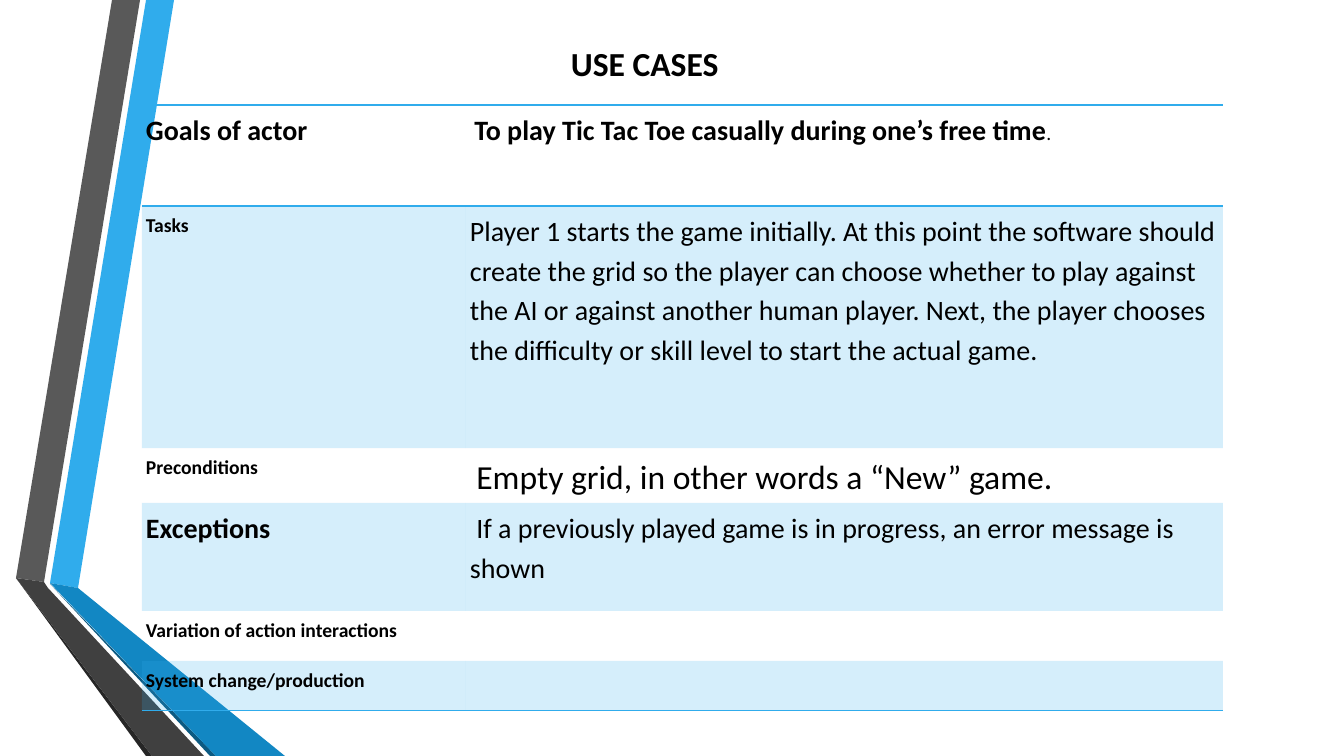
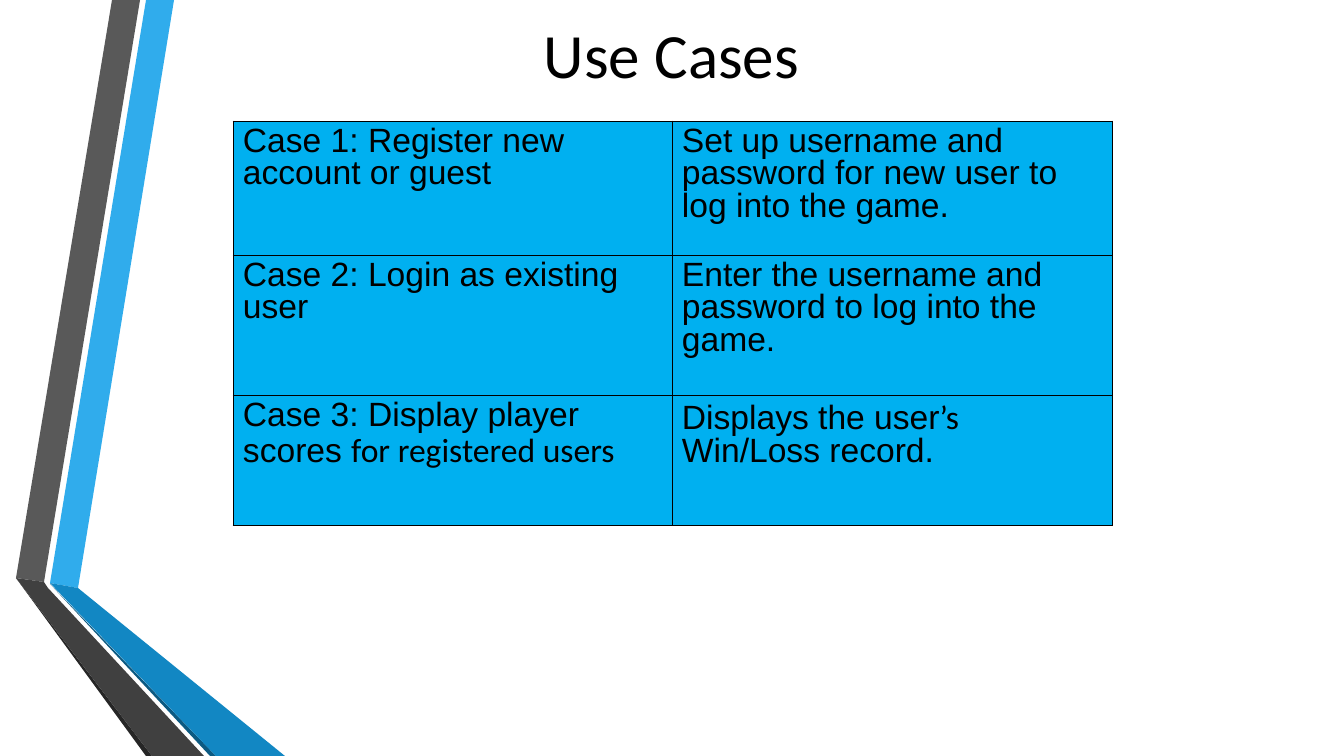
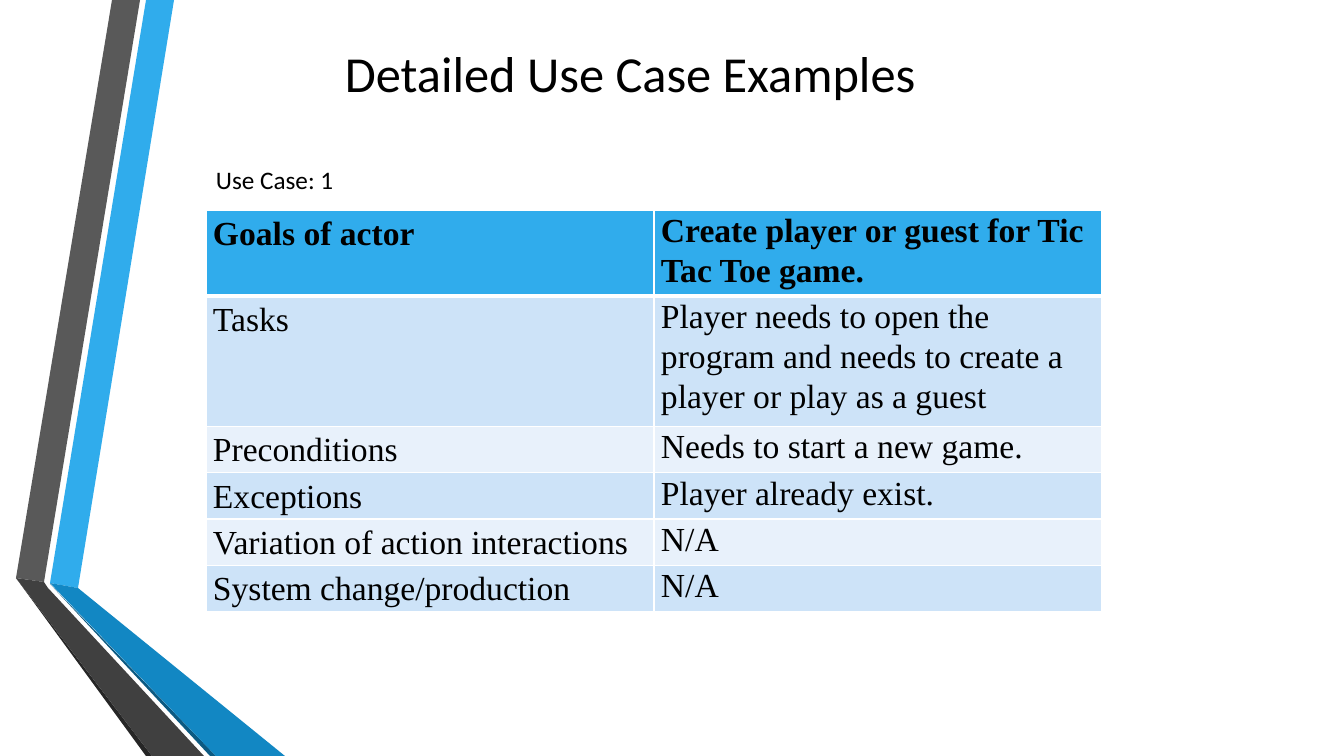
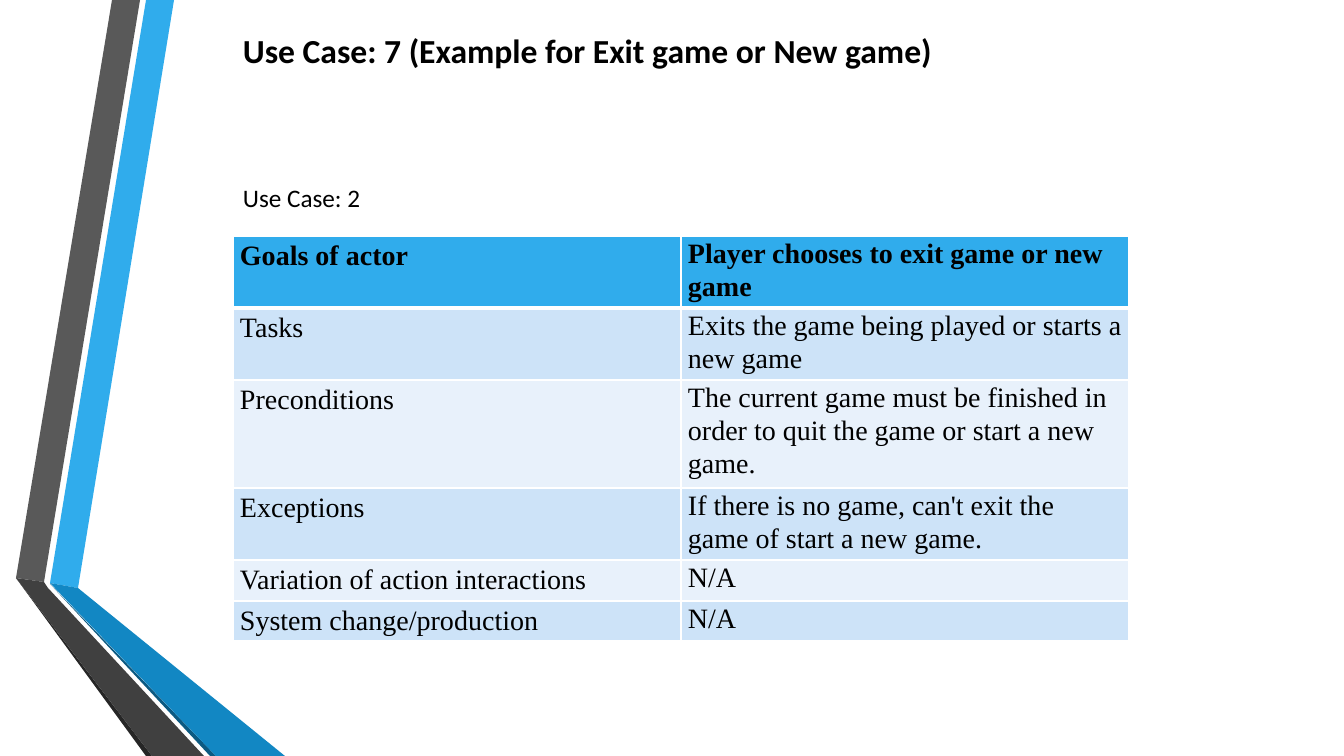
from dataclasses import dataclass
from pptx import Presentation
from pptx.dml.color import RGBColor
from pptx.enum.text import PP_ALIGN
from pptx.oxml.ns import qn
from pptx.oxml.xmlchemy import OxmlElement
from pptx.util import Emu, Pt

SCALE = 914400 / 100.8
WIDTH, HEIGHT = 1344, 756
SKY, CYAN, BLACK, WHITE = "30ACEC", "00B0F0", "000000", "FFFFFF"
STRIPES = ("CDE3F8", "E8F1FB")
BODY, SANS, SERIF = "Calibri", "Arial", "Times New Roman"
PLAIN_TABLE = "{2D5ABB26-0587-4C30-8999-92F81FD0307C}"
BANDS = [
    (SKY, [(50, 583), (78, 588), (174, 0), (146, 0)]),
    ("595959", [(140, 0), (112, 0), (16, 578), (44, 582)]),
    ("262626", [(16, 578), (146, 756), (152, 756)]),
    ("0C5A82", [(50, 584), (210, 756), (216, 756)]),
    ("1287C3", [(50, 583), (216, 756), (285, 756), (78, 588)]),
    ("404040", [(204, 756), (48, 588), (44, 582), (16, 578), (152, 756)]),
]


def px(value):
    return Emu(round(value * SCALE))


def color(value):
    return RGBColor.from_string(value)


@dataclass
class Span:
    text: str
    size: int
    bold: bool = False
    font: str = BODY


class Slides:
    def __init__(self):
        self.deck = Presentation()
        self.deck.slide_width, self.deck.slide_height = px(WIDTH), px(HEIGHT)
        self.layout = self.deck.slide_layouts[6]
        self.page = None

    def new_page(self):
        self.page = self.deck.slides.add_slide(self.layout)

    def shared_bands(self):
        for fill, points in BANDS:
            band = self.band(fill, points)
            self.layout.shapes.element.append(band.element)

    def band(self, fill, points):
        outline = self.page.shapes.build_freeform(*points[0], scale=SCALE)
        outline.add_line_segments(points[1:], close=True)
        shape = outline.convert_to_shape()
        shape.shadow.inherit = False
        shape.fill.solid()
        shape.fill.fore_color.rgb = color(fill)
        shape.line.fill.background()
        return shape

    def add_spans(self, paragraph, spans):
        for span in spans:
            run = paragraph.add_run()
            run.text = span.text
            run.font.size = Pt(span.size)
            run.font.bold = span.bold
            run.font.name = span.font
            run.font.color.rgb = color(BLACK)

    def text(self, left, top, width, height, span, align=PP_ALIGN.LEFT):
        box = self.page.shapes.add_textbox(px(left), px(top), px(width), px(height))
        box.text_frame.word_wrap = True
        paragraph = box.text_frame.paragraphs[0]
        paragraph.alignment = align
        self.add_spans(paragraph, [span])

    def table(self, left, top, columns, rows):
        frame = self.page.shapes.add_table(
            len(rows), len(columns), px(left), px(top), px(sum(columns)), px(sum(rows)))
        for style in frame.element.iter(qn("a:tableStyleId")):
            style.text = PLAIN_TABLE
        table = frame.table
        table.first_row = table.horz_banding = False
        for column, width in zip(table.columns, columns):
            column.width = px(width)
        for row, height in zip(table.rows, rows):
            row.height = px(height)
        return table

    def cell(self, cell, spans, inset, spacing, after=0):
        cell.margin_left = cell.margin_right = px(inset[0])
        cell.margin_top = cell.margin_bottom = px(inset[1])
        paragraph = cell.text_frame.paragraphs[0]
        paragraph.line_spacing = spacing
        paragraph.space_after = Pt(after)
        self.add_spans(paragraph, spans)

    def borders(self, cell, line, **widths):
        properties = cell._tc.get_or_add_tcPr()
        for side in "LRTB":
            if side not in widths:
                continue
            edge = OxmlElement(f"a:ln{side}")
            edge.set("w", str(Pt(widths[side])))
            solid = OxmlElement("a:solidFill")
            tone = OxmlElement("a:srgbClr")
            tone.set("val", line)
            solid.append(tone)
            edge.append(solid)
            properties.append(edge)

    def fill(self, cell, value, opacity=100):
        cell.fill.solid()
        cell.fill.fore_color.rgb = color(value)
        if opacity < 100:
            alpha = OxmlElement("a:alpha")
            alpha.set("val", str(opacity * 1000))
            next(cell._tc.tcPr.find(qn("a:solidFill")).iter(qn("a:srgbClr"))).append(alpha)

    def goals_table(self, left, top, heights, size, answers):
        table = self.table(left, top, [448, 448], heights)
        for row, pair in enumerate(zip(GOALS, answers)):
            for column, words in enumerate(pair):
                cell = table.cell(row, column)
                self.cell(cell, [Span(words, size, row == 0, SERIF)], (7, 0),
                          (1.15, 1.07)[column], (10, 0)[column])
                self.borders(cell, WHITE, L=1, R=1, T=3 if row == 1 else 1,
                             B=3 if row == 0 else 1)
                self.fill(cell, STRIPES[(row - 1) % 2] if row else SKY)


GOALS = ["Goals of actor", "Tasks", "Preconditions", "Exceptions",
         "Variation of action interactions", "System change/production"]

slides = Slides()
slides.new_page()
slides.shared_bands()

slides.text(561, 38, 324, 50, Span("USE CASES", 24, True))
label_sizes = [20, 14, 14, 20, 14, 14]
details = [
    [Span(" ", 14, True),
     Span("To play Tic Tac Toe casually during one’s free time", 20, True),
     Span(".", 14)],
    [Span("Player 1 starts the game initially. At this point the software should "
          "create the grid so the player can choose whether to play against the AI "
          "or against another human player. Next, the player chooses the difficulty "
          "or skill level to start the actual game.", 20)],
    [Span(" ", 20), Span("Empty grid, in other words a “New” game.", 24)],
    [Span(" If a previously played game is in progress, an error message is shown", 20)],
    [],
    [],
]
overview = slides.table(142, 105, [324, 757], [101, 242, 55, 108, 50, 50])
for row, (goal, size, detail) in enumerate(zip(GOALS, label_sizes, details)):
    for column, spans in enumerate([[Span(goal, size, True)], detail]):
        cell = overview.cell(row, column)
        slides.cell(cell, spans, (4, 4), 1.15)
        if row == 0:
            slides.borders(cell, SKY, T=1, B=1)
        if row == len(GOALS) - 1:
            slides.borders(cell, SKY, B=1)
        if row % 2:
            slides.fill(cell, SKY, 20)

slides.new_page()
slides.text(310, 11, 723, 110, Span("Use Cases", 45), PP_ALIGN.CENTER)
cases = [
    [[Span("Case 1: Register new account or guest", 24, font=SANS)],
     [Span("Set up username and password for new user to log into the game.", 24, font=SANS)]],
    [[Span("Case 2: Login as existing user", 24, font=SANS)],
     [Span("Enter the username and password to log into the game.", 24, font=SANS)]],
    [[Span("Case 3: Display player scores ", 24, font=SANS),
      Span("for registered users", 24)],
     [Span("Displays the user", 24, font=SANS), Span("’s", 24),
      Span(" Win/Loss record.", 24, font=SANS)]],
]
case_table = slides.table(233, 121, [439, 440], [134, 141, 130])
for row, pair in enumerate(cases):
    for column, spans in enumerate(pair):
        cell = case_table.cell(row, column)
        slides.cell(cell, spans, (10, 5), 0.87)
        slides.borders(cell, BLACK, L=0.75, R=0.75, T=0.75, B=0.75)
        slides.fill(cell, CYAN)

slides.new_page()
slides.text(335, 37, 699, 72, Span("Detailed Use Case Examples", 36))
slides.goals_table(206, 210, [85, 130, 46, 46, 46, 46], 24, [
    "Create player or guest for Tic Tac Toe game.",
    "Player needs to open the program and needs to create a player or play as a guest",
    "Needs to start a new game.",
    "Player already exist.",
    "N/A",
    "N/A",
])
slides.text(206, 159, 301, 40, Span("Use Case: 1", 18))

slides.new_page()
slides.text(233, 25, 954, 82, Span("Use Case: 7 (Example for Exit game or New game)", 24, True))
slides.goals_table(233, 236, [71, 72, 108, 72, 41, 40], 20, [
    "Player chooses to exit game or new game",
    "Exits the game being played or starts a new game",
    "The current game must be finished in order to quit the game or start a new game.",
    "If there is no game, can't exit the game of start a new game.",
    "N/A",
    "N/A",
])
slides.text(233, 177, 324, 40, Span("Use Case: 2", 18))

slides.deck.save("out.pptx")
